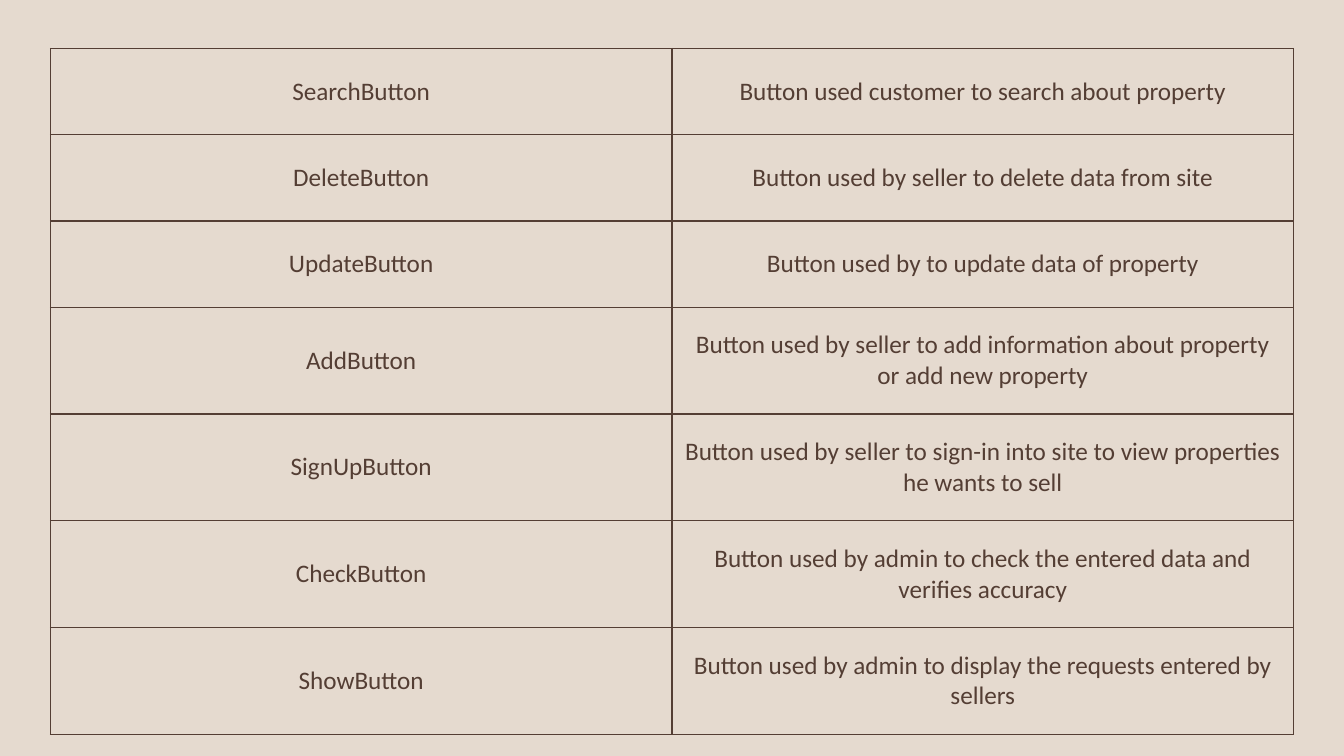
"""Build a slide with a table of buttons and their uses."""
from lxml.etree import SubElement
from pptx import Presentation
from pptx.dml.color import RGBColor
from pptx.enum.text import MSO_ANCHOR, PP_ALIGN
from pptx.oxml.ns import qn
from pptx.util import Pt

SAND = RGBColor(0xE5, 0xDA, 0xCF)
BROWN = RGBColor(0x54, 0x3E, 0x34)

SHORT_ROW = 61.6
TALL_ROW = 76.3
BUTTONS = [
    ("SearchButton", "Button used customer to search about property", SHORT_ROW),
    ("DeleteButton", "Button used by seller to delete data from site", SHORT_ROW),
    ("UpdateButton", "Button used by to update data of property", SHORT_ROW),
    ("AddButton", "Button used by seller to add information about property or add new property", TALL_ROW),
    ("SignUpButton", "Button used by seller to sign-in into site to view properties he wants to sell", TALL_ROW),
    ("CheckButton", "Button used by admin to check the entered data and verifies accuracy", TALL_ROW),
    ("ShowButton", "Button used by admin to display the requests entered by sellers", TALL_ROW),
]


class SlideBuilder:
    font = "Calibri"
    size = 18
    color = BROWN
    border_width = 1

    def __init__(self, slide):
        self.slide = slide

    def background(self, color):
        fill = self.slide.background.fill
        fill.solid()
        fill.fore_color.rgb = color

    def table(self, left, top, width, rows):
        height = sum(row_height for *_, row_height in rows)
        columns = len(rows[0]) - 1
        frame = self.slide.shapes.add_table(
            len(rows), columns, Pt(left), Pt(top), Pt(width), Pt(height))
        table = frame.table
        table.first_row = False
        table.horz_banding = False
        for row, (*texts, row_height) in zip(table.rows, rows):
            row.height = Pt(row_height)
            for cell, text in zip(row.cells, texts):
                self.cell(cell, text)

    def cell(self, cell, text):
        self.borders(cell)
        cell.fill.background()
        cell.vertical_anchor = MSO_ANCHOR.MIDDLE
        para = cell.text_frame.paragraphs[0]
        para.alignment = PP_ALIGN.CENTER
        span = para.add_run()
        span.text = text
        span.font.name = self.font
        span.font.size = Pt(self.size)
        span.font.color.rgb = self.color

    def borders(self, cell):
        properties = cell._tc.get_or_add_tcPr()
        for side in ("a:lnL", "a:lnR", "a:lnT", "a:lnB"):
            line = SubElement(properties, qn(side), w=str(Pt(self.border_width)))
            fill = SubElement(line, qn("a:solidFill"))
            SubElement(fill, qn("a:srgbClr"), val=str(self.color))


def main():
    deck = Presentation()
    deck.slide_width = Pt(960)
    deck.slide_height = Pt(540)
    page = SlideBuilder(deck.slides.add_slide(deck.slide_layouts[6]))
    page.background(SAND)
    page.table(36, 34.6, 888, BUTTONS)
    deck.save("out.pptx")


if __name__ == "__main__":
    main()
